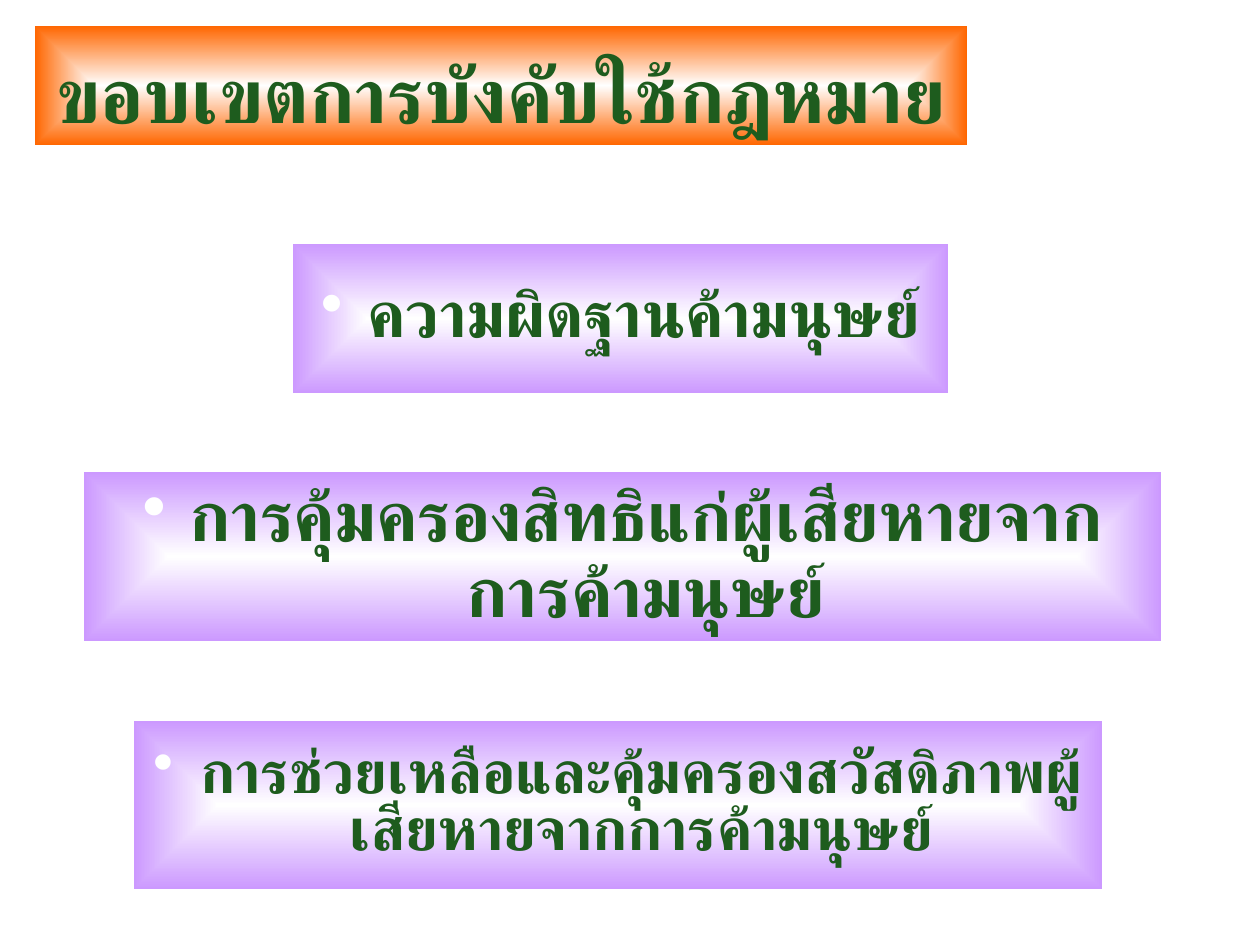
from lxml import etree
from pptx import Presentation
from pptx.dml.color import RGBColor
from pptx.enum.shapes import MSO_SHAPE
from pptx.enum.text import MSO_ANCHOR, PP_ALIGN
from pptx.oxml.ns import qn
from pptx.util import Emu, Pt

RECT = MSO_SHAPE.RECTANGLE
CENTER = PP_ALIGN.CENTER
MIDDLE, BOTTOM = MSO_ANCHOR.MIDDLE, MSO_ANCHOR.BOTTOM
PX = 914400 / 126
WHITE, ORANGE, LILAC, GREEN = "FFFFFF", "FF6600", "CC99FF", "1E5C1E"
INDENT = 47

# box, text, size, line spacing
SCOPE_ITEMS = [
    ((293, 244, 655, 149), "ความผิดฐานค้ามนุษย์", 37, 0.8),
    ((84, 472, 1077, 169), "การคุ้มครองสิทธิแก่ผู้เสียหายจากการค้ามนุษย์", 40, 0.9),
    ((134, 721, 968, 168),
     "การช่วยเหลือและคุ้มครองสวัสดิภาพผู้เสียหายจากการค้ามนุษย์", 34, 0.8),
]


def px(n):
    """Turn pixels into EMU."""
    return Emu(round(n * PX))


def rgb(value):
    """Turn a hex string into a colour."""
    return RGBColor.from_string(value)


def sub(parent, tag, **attrs):
    """Append a DrawingML element with the given attributes."""
    el = etree.SubElement(parent, qn(tag))
    for name, value in attrs.items():
        el.set(name, str(value))
    return el


def glow_fill(sp, edge):
    """Fill a shape from a white centre out to the edge colour."""
    sp.fill.gradient()
    for stop, color, pos in zip(sp.fill.gradient_stops, (WHITE, edge), (0, 1)):
        stop.color.rgb = rgb(color)
        stop.position = pos
    grad = sp.element.spPr.find(qn("a:gradFill"))
    grad.remove(grad.find(qn("a:lin")))
    shade = sub(grad, "a:path", path="rect")
    sub(shade, "a:fillToRect", l=50000, t=50000, r=50000, b=50000)


def add_panel(s, box, text, size, font, edge, anchor):
    """Draw a glowing rectangle with bold centred text; return its paragraph."""
    sp = s.shapes.add_shape(RECT, *map(px, box))
    sp.shadow.inherit = False
    sp.line.fill.background()
    glow_fill(sp, edge)
    tf = sp.text_frame
    tf.word_wrap = True
    tf.vertical_anchor = anchor
    tf.text = text
    p = tf.paragraphs[0]
    p.alignment = CENTER
    r = p.runs[0]
    r.font.size = Pt(size)
    r.font.bold = True
    r.font.name = font
    r.font.color.rgb = rgb(GREEN)
    sub(r.font._element, "a:cs", typeface=font)
    return p


def add_title(s, box, text):
    """Draw the orange title panel."""
    add_panel(s, box, text, 44, "Arial", ORANGE, BOTTOM)


def add_item(s, box, text, size, spacing):
    """Draw a lilac panel with one bulleted paragraph."""
    p = add_panel(s, box, text, size, "DejaVu Sans", LILAC, MIDDLE)
    p.line_spacing = spacing
    p.space_before = Pt(10)
    pPr = p._p.get_or_add_pPr()
    pPr.set("marL", str(px(INDENT)))
    pPr.set("indent", str(-px(INDENT)))
    sub(sub(pPr, "a:buClr"), "a:srgbClr", val=WHITE)
    sub(pPr, "a:buChar", char="•")


def main():
    """Build and save the slide."""
    prs = Presentation()
    prs.slide_width, prs.slide_height = px(1260), px(945)
    s = prs.slides.add_slide(prs.slide_layouts[6])
    add_title(s, (35, 26, 932, 119), "ขอบเขตการบังคับใช้กฎหมาย")
    for item in SCOPE_ITEMS:
        add_item(s, *item)
    prs.save("out.pptx")


main()
